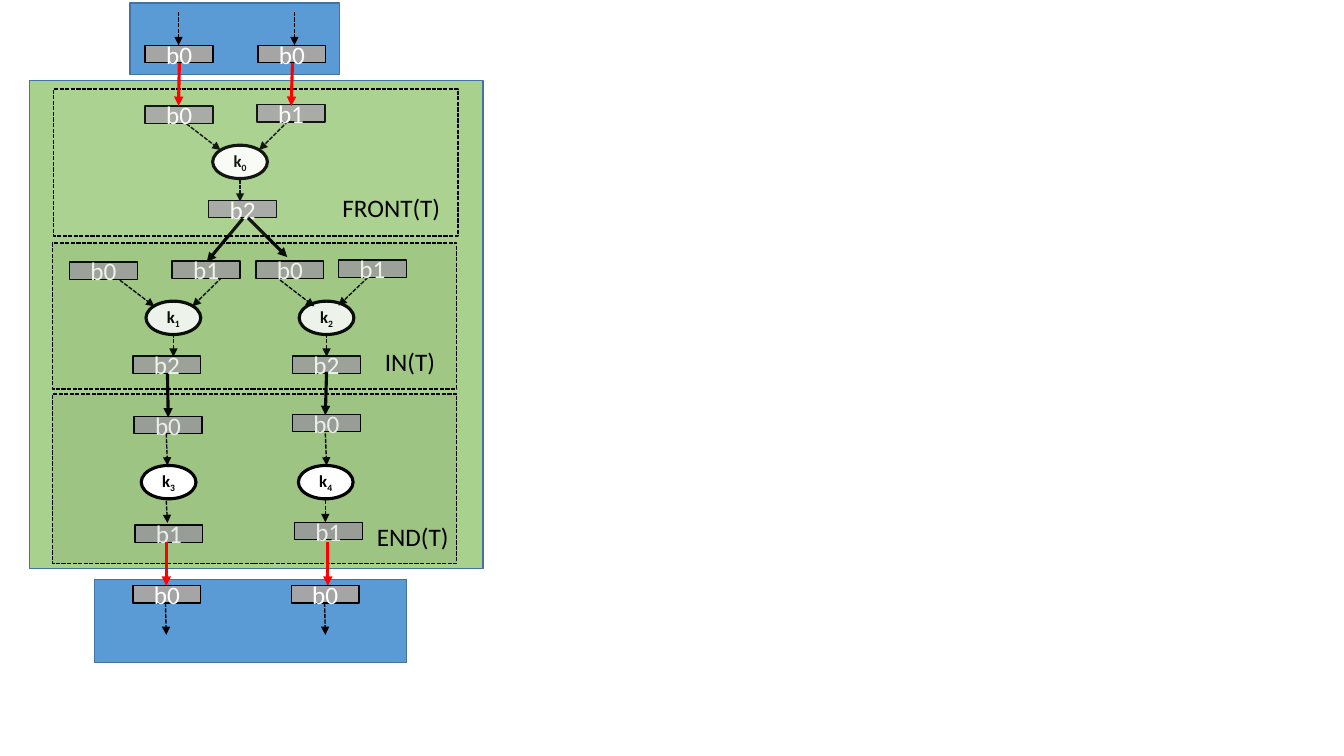
from lxml.etree import SubElement as sub
from pptx import Presentation
from pptx.dml.color import RGBColor
from pptx.enum.dml import MSO_LINE
from pptx.enum.shapes import MSO_CONNECTOR, MSO_SHAPE
from pptx.enum.text import MSO_ANCHOR, PP_ALIGN
from pptx.oxml.ns import qn
from pptx.util import Cm, Pt

BLACK = RGBColor(0x00, 0x00, 0x00)
WHITE = RGBColor(0xFF, 0xFF, 0xFF)
RED = RGBColor(0xFF, 0x00, 0x00)
GRAY = RGBColor(0xA5, 0xA5, 0xA5)
BLUE = RGBColor(0x5B, 0x9B, 0xD5)
EDGE = RGBColor(0x43, 0x73, 0x9E)
GREEN = RGBColor(0xA9, 0xD1, 0x8E)
PALE = RGBColor(0xC5, 0xE0, 0xB4)
MOSS = RGBColor(0x54, 0x82, 0x35)
DARK = RGBColor(0x38, 0x57, 0x23)

BODY = {"name": "Calibri", "size": Pt(18)}
BOLD = {"name": "Calibri", "size": Pt(12), "bold": True}
THIN = {"width": Pt(1)}
THICK = {"width": Pt(2.25)}
DASH = {"width": Pt(1), "dash_style": MSO_LINE.SQUARE_DOT}

# Boxes: left, top, width, height in cm
PANELS = [(GREEN, 0.74, 2.03, 11.43, 12.29),
          (BLUE, 2.39, 14.61, 7.85, 2.08),
          (BLUE, 3.28, 0.08, 5.28, 1.8)]
ZONES = [(PALE, 1.35, 2.24, 10.19, 3.71),
         (MOSS, 1.32, 6.12, 10.19, 3.68),
         (DARK, 1.32, 9.93, 10.19, 4.27)]
LABELS = [("FRONT(T)", 8.38, 4.72, 3.25),
          ("IN(T)", 9.45, 8.59, 2.39),
          ("END(T)", 9.25, 13.0, 2.39)]

# Kernels and buffers: text, left, top
NODES = [("0", 5.36, 3.66), ("1", 3.68, 7.59), ("2", 7.54, 7.59)]
LAST = [("3", 3.56, 11.73), ("4", 7.52, 11.73)]
INNER = [("b0", 3.66, 2.67), ("b1", 6.48, 2.64), ("b2", 5.26, 5.05),
         ("b0", 1.75, 6.6), ("b1", 4.34, 6.58),
         ("b0", 6.45, 6.58), ("b1", 8.53, 6.55),
         ("b2", 3.35, 8.97), ("b2", 7.37, 8.97),
         ("b0", 3.38, 10.49), ("b0", 7.37, 10.44),
         ("b1", 3.4, 13.23), ("b1", 7.42, 13.16)]
OUTER = [("b0", 3.66, 1.14), ("b0", 6.5, 1.14),
         ("b0", 3.35, 14.76), ("b0", 7.34, 14.76)]

# Arrows: start x, start y, end x, end y
FLOW = [(4.7, 3.12, 5.56, 3.78), (7.26, 3.05, 6.53, 3.78),
        (6.05, 4.52, 6.05, 5.08),
        (3.02, 7.06, 3.89, 7.72), (5.59, 6.99, 4.85, 7.72),
        (7.06, 7.06, 7.92, 7.72), (9.27, 6.99, 8.53, 7.7),
        (4.37, 8.41, 4.37, 8.99), (8.23, 8.41, 8.23, 8.99),
        (4.19, 10.92, 4.22, 11.73), (8.2, 10.92, 8.23, 11.73),
        (4.19, 12.62, 4.22, 13.18), (8.2, 12.6, 8.2, 13.16)]
LINKS = [(6.12, 5.51, 5.21, 6.6), (6.25, 5.49, 7.24, 6.48),
         (4.22, 9.42, 4.24, 10.52), (8.23, 9.37, 8.2, 10.46)]
PORTS = [(4.52, 1.57, 4.5, 2.67), (7.37, 1.57, 7.34, 2.67),
         (4.19, 13.67, 4.19, 14.76), (8.26, 13.67, 8.26, 14.76)]
ENDS = [(4.5, 0.3, 4.5, 1.14), (7.42, 0.3, 7.42, 1.14),
        (4.17, 15.19, 4.19, 16.0), (8.18, 15.19, 8.2, 16.0)]


def style(obj, form):
    for key, val in form.items():
        setattr(obj, key, val)


def write(para, text, form, color):
    run = para.add_run()
    run.text = text
    style(run.font, form)
    run.font.color.rgb = color
    return run


def box(slide, kind, area, fill, edge, form):
    shape = slide.shapes.add_shape(kind, *map(Cm, area))
    shape.shadow.inherit = False
    shape.fill.solid()
    shape.fill.fore_color.rgb = fill
    shape.line.color.rgb = edge
    style(shape.line, form)
    frame = shape.text_frame
    frame.vertical_anchor = MSO_ANCHOR.MIDDLE
    frame.paragraphs[0].alignment = PP_ALIGN.CENTER
    return shape


def zone(slide, fill, *area):
    shape = box(slide, MSO_SHAPE.RECTANGLE, area, fill, BLACK, DASH)
    tint = shape.fill._xPr.find(".//" + qn("a:srgbClr"))
    sub(tint, qn("a:alpha"), val="10000")


def buffer(slide, text, left, top):
    area = (left, top, 1.71, 0.44)
    shape = box(slide, MSO_SHAPE.RECTANGLE, area, GRAY, BLACK, THIN)
    write(shape.text_frame.paragraphs[0], text, BODY, WHITE)


def node(slide, index, left, top):
    area = (left, top, 1.38, 0.84)
    shape = box(slide, MSO_SHAPE.FLOWCHART_CONNECTOR, area,
                WHITE, BLACK, THICK)
    frame = shape.text_frame
    style(frame, {"margin_left": 0, "margin_right": 0})
    para = frame.paragraphs[0]
    write(para, "k", BOLD, BLACK)
    low = write(para, index, BOLD, BLACK)
    low._r.get_or_add_rPr().set("baseline", "-25000")


def arrow(slide, ends, color, form):
    link = slide.shapes.add_connector(MSO_CONNECTOR.STRAIGHT, *map(Cm, ends))
    link.line.color.rgb = color
    style(link.line, form)
    sub(link.line._get_or_add_ln(), qn("a:tailEnd"), type="triangle")
    sub(link._element.spPr, qn("a:effectLst"))


def label(slide, text, left, top, width):
    area = (left, top, width, 1.02)
    frame = slide.shapes.add_textbox(*map(Cm, area)).text_frame
    frame.word_wrap = True
    write(frame.paragraphs[0], text, BODY, BLACK)


def main():
    deck = Presentation()
    style(deck, {"slide_width": Cm(33.87), "slide_height": Cm(19.05)})
    slide = deck.slides.add_slide(deck.slide_layouts[6])

    # Host panels
    for fill, *area in PANELS:
        box(slide, MSO_SHAPE.RECTANGLE, area, fill, EDGE, THIN)

    # Graph under the tinted zones
    for item in NODES:
        node(slide, *item)
    for ends in FLOW:
        arrow(slide, ends, BLACK, DASH)
    for item in INNER:
        buffer(slide, *item)
    for ends in LINKS:
        arrow(slide, ends, BLACK, THICK)
    for item in ZONES:
        zone(slide, *item)

    # Ports, labels and outer buffers on top
    for ends in PORTS:
        arrow(slide, ends, RED, THICK)
    for item in LABELS:
        label(slide, *item)
    for item in OUTER:
        buffer(slide, *item)
    for ends in ENDS:
        arrow(slide, ends, BLACK, DASH)
    for item in LAST:
        node(slide, *item)

    deck.save("out.pptx")


main()
